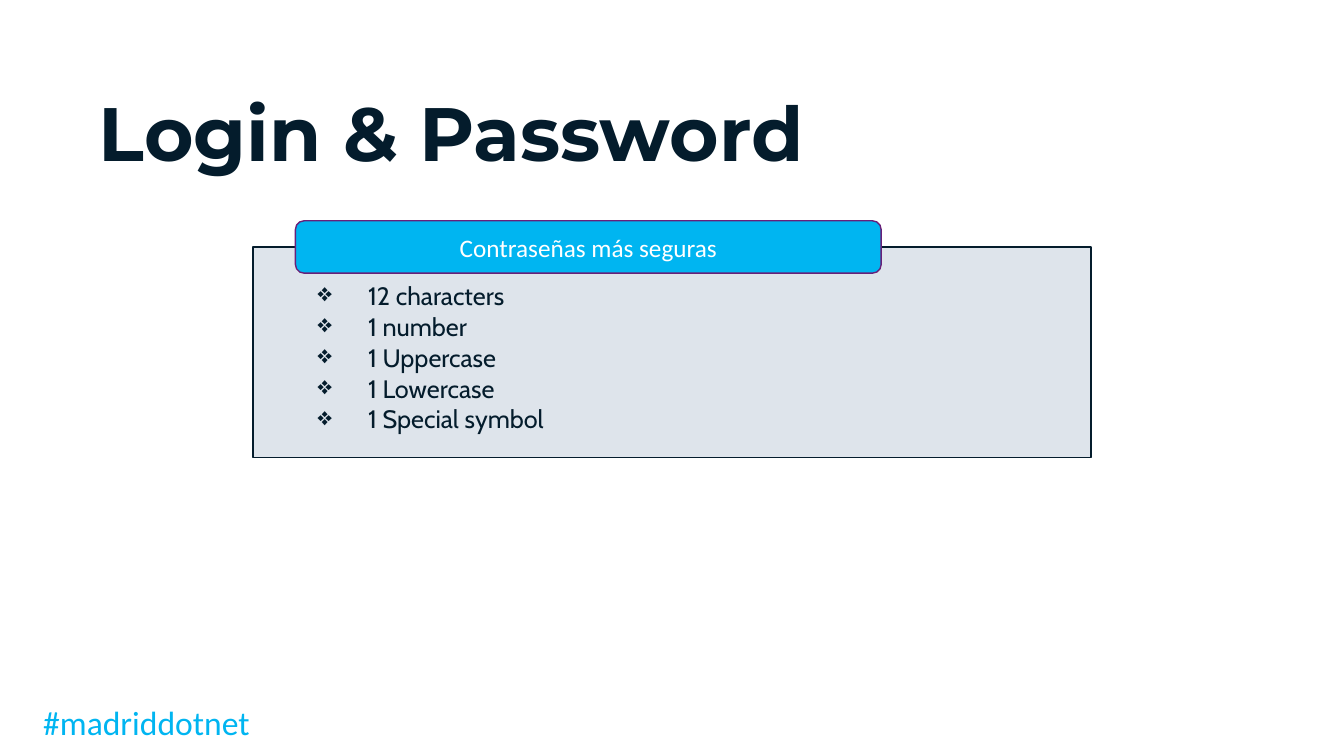
import pptx
import pptx.util
import pptx.dml.color
import pptx.enum.shapes
import pptx.enum.text
import pptx.oxml.ns
import lxml.etree
from dataclasses import dataclass

Inches = pptx.util.Inches
Pt = pptx.util.Pt
Shape = pptx.enum.shapes.MSO_SHAPE
Anchor = pptx.enum.text.MSO_ANCHOR
Align = pptx.enum.text.PP_ALIGN


@dataclass(frozen=True)
class Theme:
    navy: str = "041C2C"
    cyan: str = "00B5F1"
    mist: str = "DBE2E9"
    plum: str = "682079"
    white: str = "FFFFFF"
    head: str = "Montserrat"
    body: str = "Cabin"
    plain: str = "Calibri"
    title: int = 54
    tag: int = 24
    text: int = 18


THEME = Theme()
RULES = ["12 characters", "1 number", "1 Uppercase", "1 Lowercase", "1 Special symbol"]


def color(code):
    return pptx.dml.color.RGBColor.from_string(code)


def style(para, face, size, code, bold=False):
    for run in para.runs:
        run.font.name = face
        run.font.size = Pt(size)
        run.font.bold = bold
        run.font.color.rgb = color(code)


def inset(frame, left, top, right, bottom):
    frame.margin_left, frame.margin_top = Inches(left), Inches(top)
    frame.margin_right, frame.margin_bottom = Inches(right), Inches(bottom)


def add_text(slide, box, text, face, size, code, bold=False):
    shape = slide.shapes.add_textbox(*map(Inches, box))
    frame = shape.text_frame
    frame.word_wrap = True
    frame.text = text
    style(frame.paragraphs[0], face, size, code, bold)
    return frame


def add_box(slide, kind, box, fill, line):
    shape = slide.shapes.add_shape(kind, *map(Inches, box))
    shape.shadow.inherit = False
    shape.fill.solid()
    shape.fill.fore_color.rgb = color(fill)
    shape.line.color.rgb = color(line)
    shape.line.width = Pt(1)
    shape.text_frame.word_wrap = True
    return shape


def fade(shape, share):
    qn = pptx.oxml.ns.qn
    tint = shape.fill._xPr.find(qn("a:solidFill")).find(qn("a:srgbClr"))
    lxml.etree.SubElement(tint, qn("a:alpha"), val=str(share * 1000))


def add_mark(para, sign, indent):
    props = para._p.get_or_add_pPr()
    props.set("marL", str(Inches(indent)))
    props.set("indent", str(-Inches(indent)))
    lxml.etree.SubElement(props, pptx.oxml.ns.qn("a:buChar"), char=sign)


def add_list(frame, items):
    frame.vertical_anchor = Anchor.TOP
    inset(frame, 0.64, 0.36, 0.64, 0.14)
    frame.text = "\n".join(items)
    for para in frame.paragraphs:
        para.alignment = Align.LEFT
        para.line_spacing = 0.9
        para.space_after = Pt(2.7)
        add_mark(para, "❖", 0.5)
        style(para, THEME.body, THEME.text, THEME.navy)


def add_label(slide, box, text):
    label = add_box(slide, Shape.ROUNDED_RECTANGLE, box, THEME.cyan, THEME.plum)
    frame = label.text_frame
    frame.vertical_anchor = Anchor.MIDDLE
    inset(frame, 0.22, 0, 0.22, 0)
    frame.text = text
    frame.paragraphs[0].alignment = Align.CENTER
    style(frame.paragraphs[0], THEME.plain, THEME.text, THEME.white)


def main():
    deck = pptx.Presentation()
    deck.slide_width, deck.slide_height = Inches(13.33), Inches(7.5)
    slide = deck.slides.add_slide(deck.slide_layouts[6])

    title = add_text(slide, (0.98, 0.98, 7.22, 1.45), "Login & Password",
                     THEME.head, THEME.title, THEME.navy, True)
    inset(title, 0, 0.05, 0, 0.05)
    title.paragraphs[0].line_spacing = 0.8
    add_text(slide, (0.33, 6.91, 2.42, 0.5), "#madriddotnet",
             THEME.plain, THEME.tag, THEME.cyan)

    panel = add_box(slide, Shape.RECTANGLE, (2.51, 2.45, 8.31, 2.09),
                    THEME.mist, THEME.navy)
    fade(panel, 90)
    add_list(panel.text_frame, RULES)
    add_label(slide, (2.93, 2.19, 5.81, 0.52), "Contraseñas más seguras")

    deck.save("out.pptx")


if __name__ == "__main__":
    main()
